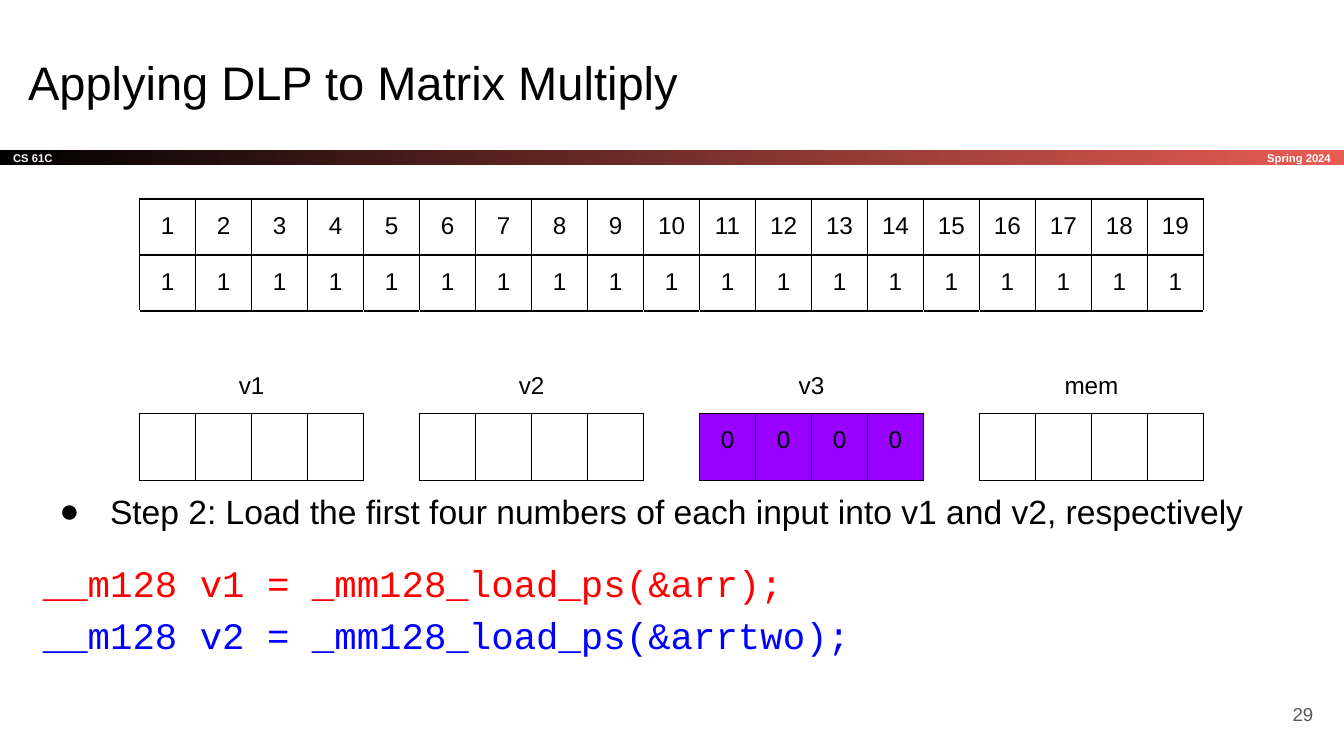
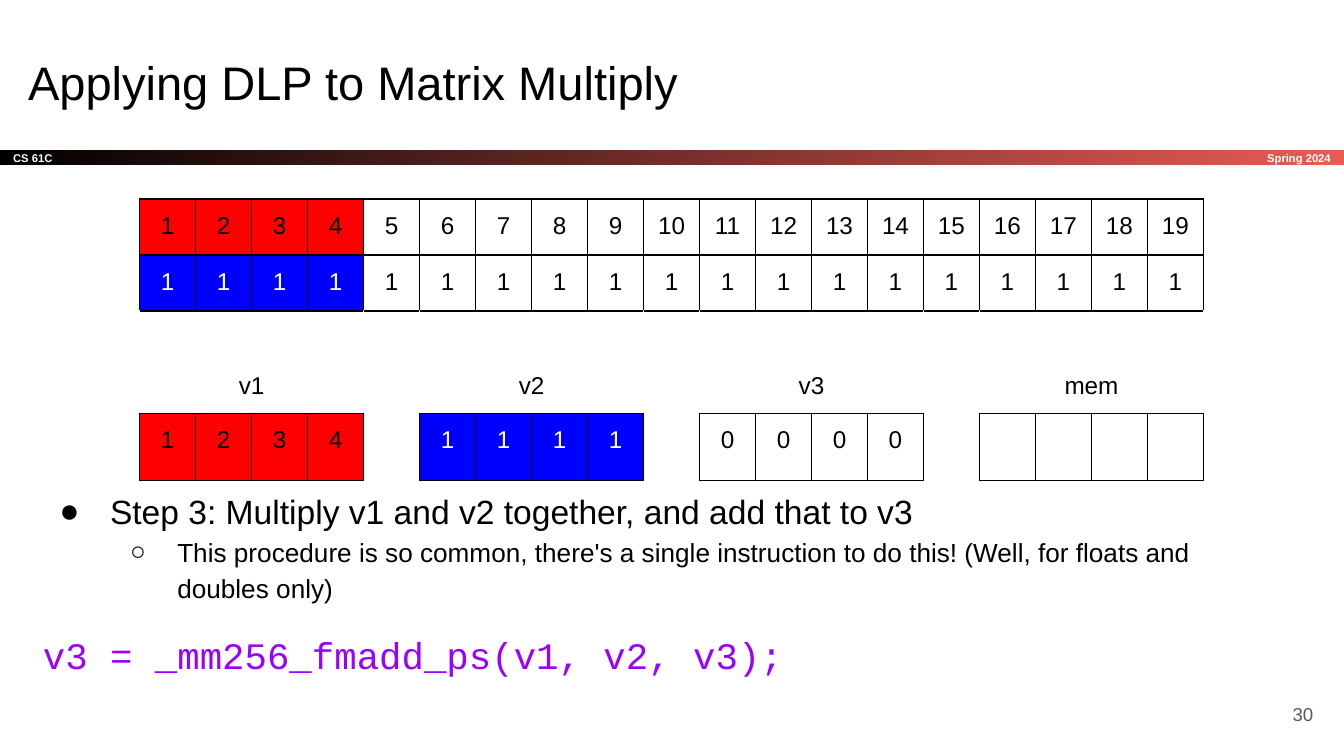
from dataclasses import dataclass

from lxml import etree
from pptx import Presentation
from pptx.dml.color import RGBColor
from pptx.enum.shapes import MSO_SHAPE
from pptx.enum.text import MSO_ANCHOR, MSO_AUTO_SIZE, PP_ALIGN
from pptx.oxml.ns import qn
from pptx.util import Cm, Pt

RECTANGLE = MSO_SHAPE.RECTANGLE
TOP, MIDDLE, BOTTOM = MSO_ANCHOR.TOP, MSO_ANCHOR.MIDDLE, MSO_ANCHOR.BOTTOM
LEFT, CENTER, RIGHT = PP_ALIGN.LEFT, PP_ALIGN.CENTER, PP_ALIGN.RIGHT
NO_AUTOFIT = MSO_AUTO_SIZE.NONE


@dataclass(frozen=True)
class Theme:
    black: str = "000000"
    white: str = "FFFFFF"
    coral: str = "E85C54"
    gray: str = "595959"
    red: str = "FF0000"
    blue: str = "0000FF"
    purple: str = "9900FF"
    text_font: str = "Arial"
    code_font: str = "Courier New"
    title_size: float = 25.2
    step_size: float = 18
    detail_size: float = 14
    code_size: float = 20
    cell_size: float = 13
    number_size: float = 10
    band_size: float = 6
    border_width: float = 0.75


THEME = Theme()
INSET = Cm(0.25)
INSETS = {"margin_left": INSET, "margin_right": INSET, "margin_top": INSET, "margin_bottom": INSET}
BAND_INSETS = {**INSETS, "margin_top": 0, "margin_bottom": 0}

SLIDE_WIDTH, SLIDE_HEIGHT = Cm(25.4), Cm(14.29)
TITLE_BOX = (Cm(0.28), Cm(0.76), Cm(23.67), Cm(1.6))
BODY_BOX = (Cm(0.56), Cm(8.92), Cm(23.67), Cm(5))
BAND_BOX = (0, Cm(2.83), SLIDE_WIDTH, Cm(0.3))
TERM_BOX = (Cm(21.18), Cm(2.83), Cm(4.22), Cm(0.3))
NUMBER_BOX = (Cm(23.55), Cm(12.95), Cm(1.52), Cm(1.09))

TABLE_LEFT, TABLE_TOP, TABLE_WIDTH = Cm(2.64), Cm(3.76), Cm(20.11)
ROW_HEIGHTS = (Cm(1.06), Cm(1.06), Cm(1.93), Cm(1.06))
INPUT_ROWS = (range(1, 20), [1] * 19)
COLUMN_COUNT = len(INPUT_ROWS[0])
LABEL_ROW, REGISTER_ROW = 2, 3
REGISTERS = ("v1", "v2", "v3", "mem")
LANES = 4
STRIDE = LANES + 1

# Bullet character, type size, left margin and hanging indent for each list level
LIST_LEVELS = (
    ("●", THEME.step_size, Cm(1.27), Cm(-0.96)),
    ("○", THEME.detail_size, Cm(2.54), Cm(-0.89)),
)


def apply_format(target, values):
    for name, value in values.items():
        setattr(target, name, value)


def add_run(paragraph, text, size, color=THEME.black, font=THEME.text_font, bold=False):
    run = paragraph.add_run()
    run.text = text
    apply_format(run.font, {"size": Pt(size), "name": font, "bold": bold})
    run.font.color.rgb = RGBColor.from_string(color)


def format_frame(frame, anchor, insets=INSETS):
    apply_format(frame, {"word_wrap": True, "auto_size": NO_AUTOFIT,
                         "vertical_anchor": anchor, **insets})


def add_label(slide, box, text, size, color, insets=INSETS, bold=False):
    """Add a right-aligned line of text, centred in its height."""
    label = slide.shapes.add_textbox(*box)
    format_frame(label.text_frame, MIDDLE, insets)
    paragraph = label.text_frame.paragraphs[0]
    paragraph.alignment = RIGHT
    add_run(paragraph, text, size, color, bold=bold)
    return label


def add_band(slide):
    band = slide.shapes.add_shape(RECTANGLE, *BAND_BOX)
    band.shadow.inherit = False
    band.line.fill.background()
    band.fill.gradient()
    band.fill.gradient_angle = 0
    for stop, position, color in zip(band.fill.gradient_stops, (0, 1), (THEME.black, THEME.coral)):
        stop.position = position
        stop.color.rgb = RGBColor.from_string(color)
    format_frame(band.text_frame, MIDDLE, BAND_INSETS)
    paragraph = band.text_frame.paragraphs[0]
    paragraph.alignment = LEFT
    add_run(paragraph, "CS 61C", THEME.band_size, THEME.white, bold=True)
    return band


def prepare_layout(layout):
    """Keep only the title and body placeholders, at their places."""
    boxes = {0: TITLE_BOX, 1: BODY_BOX}
    for placeholder in list(layout.placeholders):
        box = boxes.get(placeholder.placeholder_format.idx)
        if box:
            apply_format(placeholder, dict(zip(("left", "top", "width", "height"), box)))
        else:
            layout.shapes.element.remove(placeholder.element)


def move_band_to_layout(slide, layout):
    """Build the band on a slide, then let the layout own it."""
    term = (add_band(slide),
            add_label(slide, TERM_BOX, "Spring 2024", THEME.band_size, THEME.white,
                      BAND_INSETS, bold=True))
    for shape in term:
        layout.shapes.element.append(shape.element)


def fill_title(slide, text):
    frame = slide.shapes.title.text_frame
    format_frame(frame, TOP)
    frame.paragraphs[0].alignment = LEFT
    add_run(frame.paragraphs[0], text, THEME.title_size)


def set_bullet(paragraph, character, margin, indent):
    properties = paragraph._p.get_or_add_pPr()
    properties.set("marL", str(margin))
    properties.set("indent", str(indent))
    if character is None:
        etree.SubElement(properties, qn("a:buNone"))
        return
    color = etree.SubElement(properties, qn("a:buClr"))
    etree.SubElement(color, qn("a:srgbClr"), val=THEME.black)
    etree.SubElement(properties, qn("a:buFont"), typeface=THEME.text_font)
    etree.SubElement(properties, qn("a:buChar"), char=character)


def fill_body(slide, items, code_lines):
    frame = slide.placeholders[1].text_frame
    format_frame(frame, TOP)
    paragraph = frame.paragraphs[0]
    for level, text in enumerate(items):
        character, size, margin, indent = LIST_LEVELS[level]
        apply_format(paragraph, {"level": level, "line_spacing": 1.15, "space_before": Pt(0)})
        set_bullet(paragraph, character, margin, indent)
        add_run(paragraph, text, size)
        paragraph = frame.add_paragraph()
    apply_format(paragraph, {"line_spacing": 1.15, "space_before": Pt(12), "space_after": Pt(12)})
    set_bullet(paragraph, None, 0, 0)
    for index, (text, color) in enumerate(code_lines):
        if index:
            paragraph.add_line_break()
        add_run(paragraph, text, THEME.code_size, color, THEME.code_font)


def set_borders(cell, left, top, right, bottom):
    properties = cell._tc.get_or_add_tcPr()
    for side, color in zip("LRTB", (left, right, top, bottom)):
        line = etree.SubElement(properties, qn(f"a:ln{side}"), w=str(Pt(THEME.border_width)))
        fill = etree.SubElement(line, qn("a:solidFill"))
        etree.SubElement(fill, qn("a:srgbClr"), val=color)


def border_colors(row, column):
    """Hide the grid around the register labels and in the gaps between registers."""
    is_gap = column % STRIDE == LANES
    black, white = THEME.black, THEME.white
    if row == LABEL_ROW:
        return white, black, white, white if is_gap else black
    if row == REGISTER_ROW and is_gap:
        return black, white, black, white
    return (black,) * 4


def fill_cell(cell, text="", fill=None, anchor=TOP):
    apply_format(cell, {"vertical_anchor": anchor, **INSETS})
    if fill:
        cell.fill.solid()
        cell.fill.fore_color.rgb = RGBColor.from_string(fill)
    else:
        cell.fill.background()
    if text:
        paragraph = cell.text_frame.paragraphs[0]
        paragraph.alignment = CENTER
        color = THEME.white if fill == THEME.blue else THEME.black
        add_run(paragraph, text, THEME.cell_size, color)


def add_vector_table(slide, input_fills, registers):
    """Draw the two inputs above the registers; registers maps a name to (values, fill)."""
    table = slide.shapes.add_table(len(ROW_HEIGHTS), COLUMN_COUNT, TABLE_LEFT, TABLE_TOP,
                                   TABLE_WIDTH, sum(ROW_HEIGHTS)).table
    apply_format(table, {"first_row": False, "horz_banding": False})
    for column in table.columns:
        column.width = TABLE_WIDTH // COLUMN_COUNT
    for row_index, height in enumerate(ROW_HEIGHTS):
        table.rows[row_index].height = height
        for column in range(COLUMN_COUNT):
            cell = table.cell(row_index, column)
            set_borders(cell, *border_colors(row_index, column))
            fill_cell(cell)
    for row_index, (values, fill) in enumerate(zip(INPUT_ROWS, input_fills)):
        for column, value in enumerate(values):
            fill_cell(table.cell(row_index, column), str(value), fill if column < LANES else None)
    for index, name in enumerate(REGISTERS):
        first = index * STRIDE
        label = table.cell(LABEL_ROW, first)
        label.merge(table.cell(LABEL_ROW, first + LANES - 1))
        fill_cell(label, name, anchor=BOTTOM)
        values, fill = registers.get(name, ([""] * LANES, None))
        for lane, value in enumerate(values):
            fill_cell(table.cell(REGISTER_ROW, first + lane), str(value), fill)


def main():
    presentation = Presentation()
    apply_format(presentation, {"slide_width": SLIDE_WIDTH, "slide_height": SLIDE_HEIGHT})
    layout = presentation.slide_layouts[1]
    prepare_layout(layout)

    zeros, ones = [0] * LANES, [1] * LANES
    steps = (
        {
            "number": 29,
            "input_fills": (THEME.white, THEME.white),
            "registers": {"v3": (zeros, THEME.purple)},
            "items": ["Step 2: Load the first four numbers of each input into v1 and v2, "
                      "respectively"],
            "code": [("__m128 v1 = _mm128_load_ps(&arr);", THEME.red),
                     ("__m128 v2 = _mm128_load_ps(&arrtwo);", THEME.blue)],
        },
        {
            "number": 30,
            "input_fills": (THEME.red, THEME.blue),
            "registers": {"v1": (range(1, LANES + 1), THEME.red), "v2": (ones, THEME.blue),
                          "v3": (zeros, THEME.white)},
            "items": ["Step 3: Multiply v1 and v2 together, and add that to v3",
                      "This procedure is so common, there's a single instruction to do this! "
                      "(Well, for floats and doubles only)"],
            "code": [("v3 = _mm256_fmadd_ps(v1, v2, v3);", THEME.purple)],
        },
    )
    for index, step in enumerate(steps):
        slide = presentation.slides.add_slide(layout)
        if index == 0:
            move_band_to_layout(slide, layout)
        fill_title(slide, "Applying DLP to Matrix Multiply")
        fill_body(slide, step["items"], step["code"])
        add_vector_table(slide, step["input_fills"], step["registers"])
        add_label(slide, NUMBER_BOX, str(step["number"]), THEME.number_size, THEME.gray)
    presentation.save("out.pptx")


if __name__ == "__main__":
    main()
